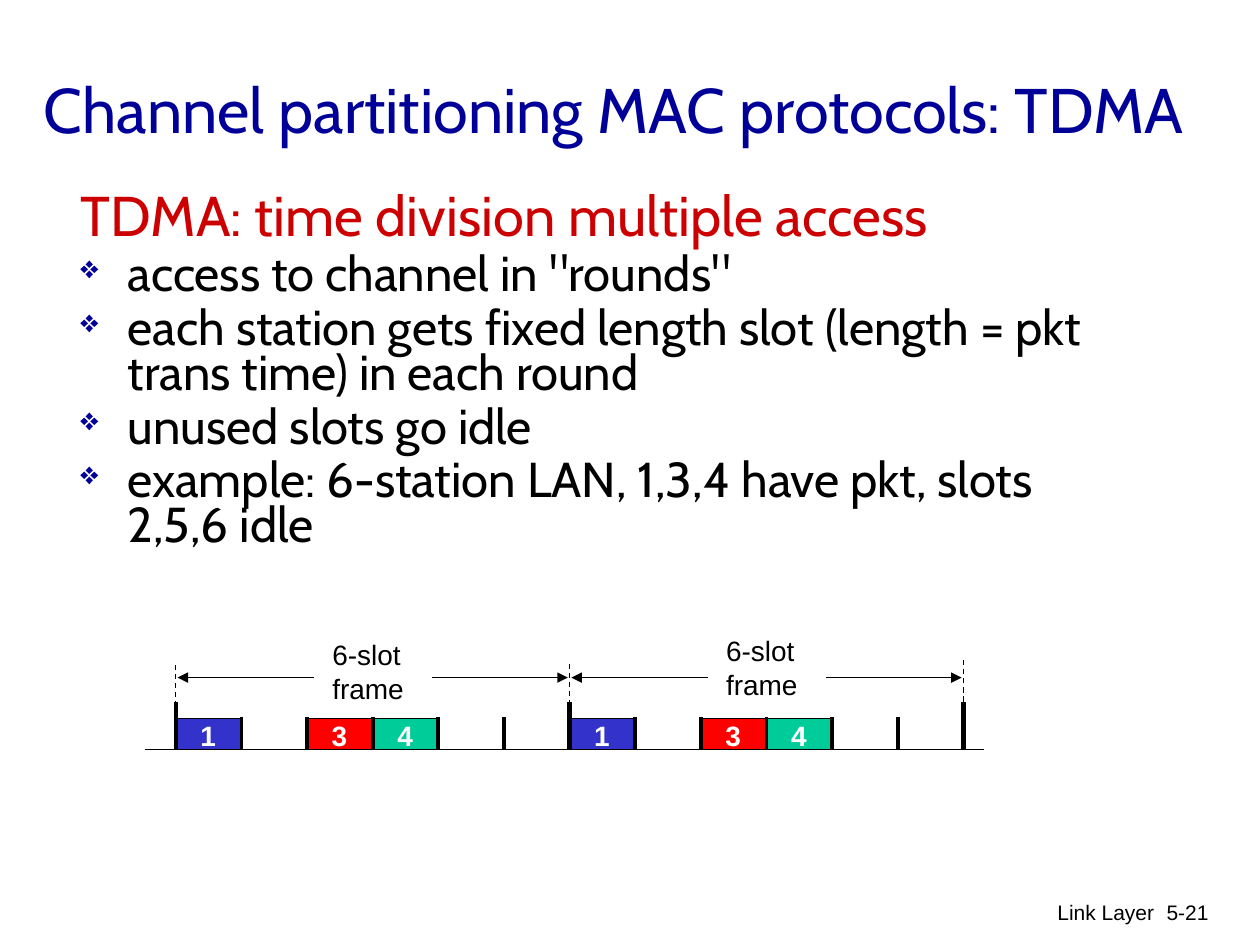
from lxml import etree
from pptx import Presentation
from pptx.dml.color import RGBColor
from pptx.enum import dml, shapes, text
from pptx.oxml import ns
from pptx.util import Pt

# Content
COLORS = {"navy": "000099", "crimson": "CC0000", "black": "000000", "white": "FFFFFF",
          "blue": "3333CC", "red": "FF0000", "green": "00CC99"}
TITLE = "Channel partitioning MAC protocols: TDMA"
HEADING = "TDMA: time division multiple access"
BULLETS = [
    'access to channel in "rounds"',
    "each station gets fixed length slot (length = pkt trans time) in each round",
    "unused slots go idle",
    "example: 6-station LAN, 1,3,4 have pkt, slots 2,5,6 idle",
]
FOOTERS = [("Link Layer", 438.5, 228.2), ("5-21", 644.4, 53.3)]  # text, left, width
FRAME_LABEL = ["6-slot", "frame"]
BUSY_SLOTS = [(1, "blue"), (3, "red"), (4, "green")]
FRAME_LABEL_TOPS = [360.8, 358.5]
BOUNDARIES = [(380, 2.25), (379.3, 3), (377.3, 3)]  # dash top, tick width

# Timeline geometry, in points
START, SLOT, SLOTS = 100.5, 37.5, 6
FRAME = SLOT * SLOTS
AXIS, SLOT_TOP, SLOT_HEIGHT, TICK_TOP = 428.4, 410.4, 18, 409.8
BOUNDARY_TOP, ARROW_Y, DASH_LENGTH = 401.4, 387.2, 24

BODY_FONT = {"name": "Cabin", "size": Pt(28)}
LABEL_FONT = {"name": "Arial", "size": Pt(16)}

presentation = Presentation()
presentation.slide_width, presentation.slide_height = Pt(720), Pt(540)
slide = presentation.slides.add_slide(presentation.slide_layouts[6])


def rgb(color):
    return RGBColor.from_string(COLORS[color])


def add_run(paragraph, content, color, formats):
    run = paragraph.add_run()
    run.text = content
    for name, value in formats.items():
        setattr(run.font, name, value)
    run.font.color.rgb = rgb(color)


def add_text(lines, box, color, formats, wrap=True, **paragraph_formats):
    frame = slide.shapes.add_textbox(*map(Pt, box)).text_frame
    frame.word_wrap = wrap
    for index, line in enumerate(lines):
        paragraph = frame.add_paragraph() if index else frame.paragraphs[0]
        for name, value in paragraph_formats.items():
            setattr(paragraph, name, value)
        add_run(paragraph, line, color, formats)
    return frame


def add_line(x1, y1, x2, y2, width=0.75, dashed=False, arrow=False):
    line = slide.shapes.add_connector(shapes.MSO_CONNECTOR.STRAIGHT,
                                      *map(Pt, (x1, y1, x2, y2)))
    line.line.width = Pt(width)
    line.line.color.rgb = rgb("black")
    if dashed:
        line.line.dash_style = dml.MSO_LINE.DASH
    if arrow:
        etree.SubElement(line.line._get_or_add_ln(), ns.qn("a:tailEnd"), type="triangle")
    etree.SubElement(line._element.spPr, ns.qn("a:effectLst"))


def add_bullet(paragraph):
    properties = paragraph._p.get_or_add_pPr()
    properties.set("marL", str(Pt(27)))
    properties.set("indent", str(Pt(-27)))
    bullet_color = etree.SubElement(properties, ns.qn("a:buClr"))
    etree.SubElement(bullet_color, ns.qn("a:srgbClr"), val=COLORS["navy"])
    etree.SubElement(properties, ns.qn("a:buSzPct"), val="65000")
    etree.SubElement(properties, ns.qn("a:buChar"), char="❖")


# Footer and title
for content, left, width in FOOTERS:
    add_text([content], (left, 510.5, width, 36), "black",
             {"name": "Arial", "size": Pt(12)}, alignment=text.PP_ALIGN.RIGHT)
title = add_text([TITLE], (18, 16.6, 679.7, 90), "navy", {"name": "Cabin", "size": Pt(36)})
title.vertical_anchor = text.MSO_ANCHOR.MIDDLE

# Body
body = add_text([HEADING], (38.9, 108.7, 612, 230.4), "crimson",
                {**BODY_FONT, "size": Pt(32)}, line_spacing=0.75)
for bullet in BULLETS:
    paragraph = body.add_paragraph()
    add_bullet(paragraph)
    paragraph.line_spacing = 0.75
    paragraph.space_before = Pt(5.6)
    add_run(paragraph, bullet, "black", BODY_FONT)

# Time axis
add_line(82.8, AXIS, 562.3, AXIS)

# Frames: busy slots, slot ticks, label and span arrows
for frame_index, label_top in enumerate(FRAME_LABEL_TOPS):
    left = START + frame_index * FRAME
    for number, color in BUSY_SLOTS:
        slot_left = left + (number - 1) * SLOT
        slot = slide.shapes.add_shape(shapes.MSO_SHAPE.RECTANGLE, *map(
            Pt, (slot_left, SLOT_TOP, SLOT, SLOT_HEIGHT)))
        slot.shadow.inherit = False
        slot.fill.solid()
        slot.fill.fore_color.rgb = rgb(color)
        slot.line.color.rgb = rgb("black")
        slot.line.width = Pt(0.75)
        add_text([str(number)], (slot_left + 7, 407.2, 23.3, 26.6), "white",
                 {**LABEL_FONT, "bold": True}, wrap=False)
    for tick in range(1, SLOTS):
        x = left + tick * SLOT
        add_line(x, TICK_TOP, x, AXIS, 2.25)
    add_text(FRAME_LABEL, (left + 82.4, label_top, 55.4, 46), "black", LABEL_FONT, wrap=False)
    for tail, head in [(79, 1), (146.5, FRAME - 1)]:
        add_line(left + tail, ARROW_Y, left + head, ARROW_Y, arrow=True)

# Frame boundaries
for index, (dash_top, width) in enumerate(BOUNDARIES):
    x = START + index * FRAME
    add_line(x, BOUNDARY_TOP, x, AXIS, width)
    add_line(x, dash_top, x, dash_top + DASH_LENGTH, dashed=True)

presentation.save("out.pptx")
